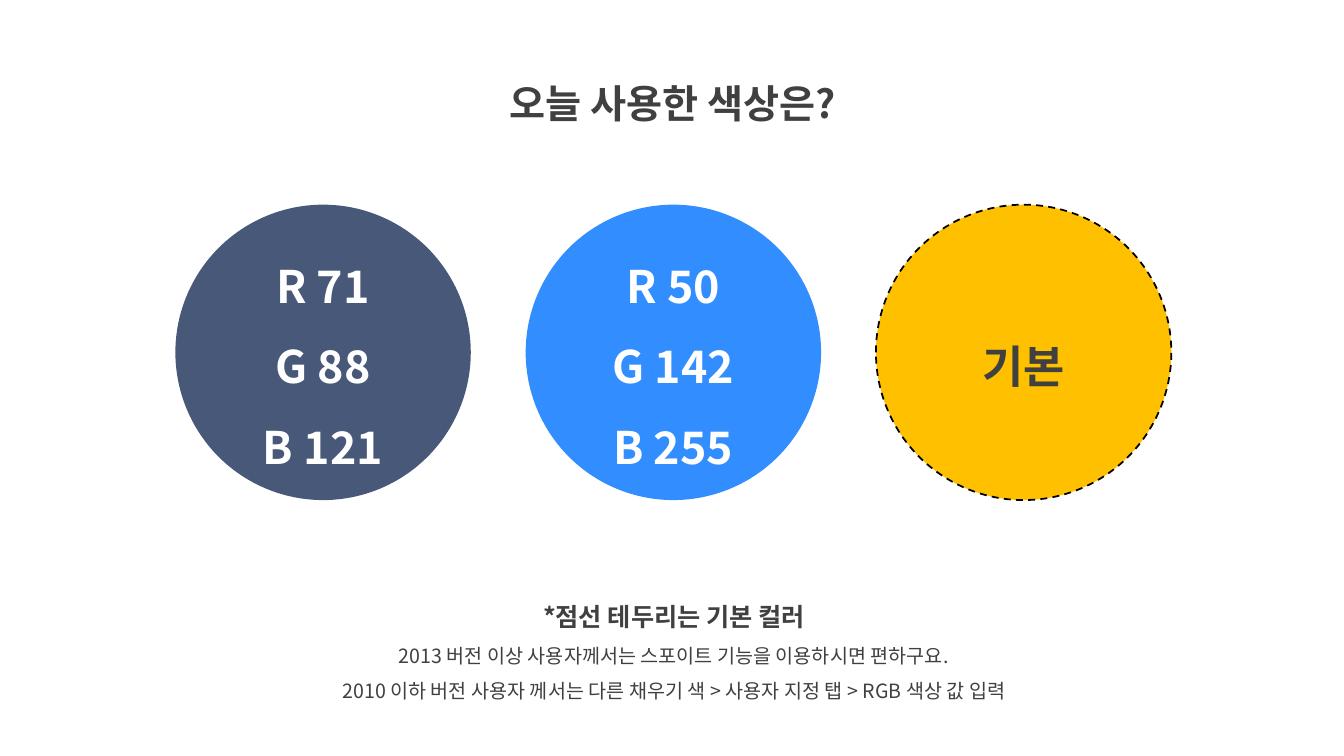
"""Builds a slide that lists the colours used, with usage notes."""
from dataclasses import dataclass
from typing import Any, Optional

from lxml.etree import SubElement
from pptx import Presentation
from pptx.dml.color import RGBColor
from pptx.enum.dml import MSO_LINE_DASH_STYLE as Dash
from pptx.enum.shapes import MSO_SHAPE as Preset
from pptx.enum.text import MSO_ANCHOR as Anchor, MSO_AUTO_SIZE as AutoSize, PP_ALIGN as Align
from pptx.oxml.ns import qn
from pptx.slide import Slide
from pptx.text.text import TextFrame
from pptx.util import Pt


@dataclass(frozen=True)
class Theme:
    """Colours, font and type sizes of the slide."""
    font: str = "Noto Sans CJK KR"
    ink: str = "404040"
    light: str = "FFFFFF"
    navy: str = "475879"
    blue: str = "328EFF"
    amber: str = "FFC000"
    outline: str = "000000"
    title: int = 28
    value: int = 32
    heading: int = 18
    note: int = 14
    spacing: float = 1.5


@dataclass(frozen=True)
class Line:
    """One paragraph with its look."""
    text: str
    size: int
    color: str
    bold: bool = True


@dataclass(frozen=True)
class Swatch:
    """One colour circle with its labels."""
    fill: str
    labels: tuple[str, ...]
    ink: str
    outline: Optional[str] = None


@dataclass(frozen=True)
class Caption:
    """A text block and its box in points."""
    box: tuple[float, float, float, float]
    lines: tuple[Line, ...]


THEME = Theme()
SWATCH_LEFT, SWATCH_TOP, SWATCH_SIZE, SWATCH_PITCH = 125.3, 146.2, 211, 250.2
SWATCHES = (
    Swatch(THEME.navy, ("R 71", "G 88", "B 121"), THEME.light),
    Swatch(THEME.blue, ("R 50", "G 142", "B 255"), THEME.light),
    Swatch(THEME.amber, ("기본",), THEME.ink, THEME.outline),
)
CAPTIONS = (
    Caption((313.9, 36, 333.4, 51.8),
            (Line("오늘 사용한 색상은?", THEME.title, THEME.ink),)),
    Caption((193.7, 415.4, 575.3, 90.7), (
        Line("*점선 테두리는 기본 컬러", THEME.heading, THEME.ink),
        Line("2013 버전 이상 사용자께서는 스포이트 기능을 이용하시면 편하구요.",
             THEME.note, THEME.ink, False),
        Line("2010 이하 버전 사용자 께서는 다른 채우기 색 > 사용자 지정 탭 > RGB 색상 값 입력",
             THEME.note, THEME.ink, False),
    )),
)


def apply_format(target: Any, values: dict[str, Any]) -> None:
    """Set each named attribute on the target."""
    for attribute, value in values.items():
        setattr(target, attribute, value)


def write_lines(frame: TextFrame, lines: tuple[Line, ...]) -> None:
    """Fill a text frame with centred paragraphs."""
    for index, line in enumerate(lines):
        paragraph = frame.add_paragraph() if index else frame.paragraphs[0]
        apply_format(paragraph, {"alignment": Align.CENTER, "line_spacing": THEME.spacing})
        run = paragraph.add_run()
        run.text = line.text
        apply_format(run.font, {"name": THEME.font, "size": Pt(line.size), "bold": line.bold})
        run.font.color.rgb = RGBColor.from_string(line.color)
        SubElement(run.font._element, qn("a:ea"), typeface=THEME.font)


def draw_caption(slide: Slide, caption: Caption) -> None:
    """Draw one text block."""
    frame = slide.shapes.add_textbox(*map(Pt, caption.box)).text_frame
    apply_format(frame, {"word_wrap": True, "auto_size": AutoSize.SHAPE_TO_FIT_TEXT})
    write_lines(frame, caption.lines)


def draw_swatch(slide: Slide, swatch: Swatch, left: float) -> None:
    """Draw one colour circle."""
    circle = slide.shapes.add_shape(
        Preset.OVAL, Pt(left), Pt(SWATCH_TOP), Pt(SWATCH_SIZE), Pt(SWATCH_SIZE))
    circle.shadow.inherit = False
    circle.fill.solid()
    circle.fill.fore_color.rgb = RGBColor.from_string(swatch.fill)
    if swatch.outline:
        circle.line.color.rgb = RGBColor.from_string(swatch.outline)
        apply_format(circle.line, {"width": Pt(1.25), "dash_style": Dash.DASH})
    else:
        circle.line.fill.background()
    apply_format(circle.text_frame, {"word_wrap": True, "vertical_anchor": Anchor.MIDDLE})
    write_lines(circle.text_frame,
                tuple(Line(label, THEME.value, swatch.ink) for label in swatch.labels))


def main() -> None:
    """Build and save the slide."""
    deck = Presentation()
    apply_format(deck, {"slide_width": Pt(960), "slide_height": Pt(540)})
    slide = deck.slides.add_slide(deck.slide_layouts[6])
    for caption in CAPTIONS:
        draw_caption(slide, caption)
    for index, swatch in enumerate(SWATCHES):
        draw_swatch(slide, swatch, SWATCH_LEFT + index * SWATCH_PITCH)
    deck.save("out.pptx")


if __name__ == "__main__":
    main()
